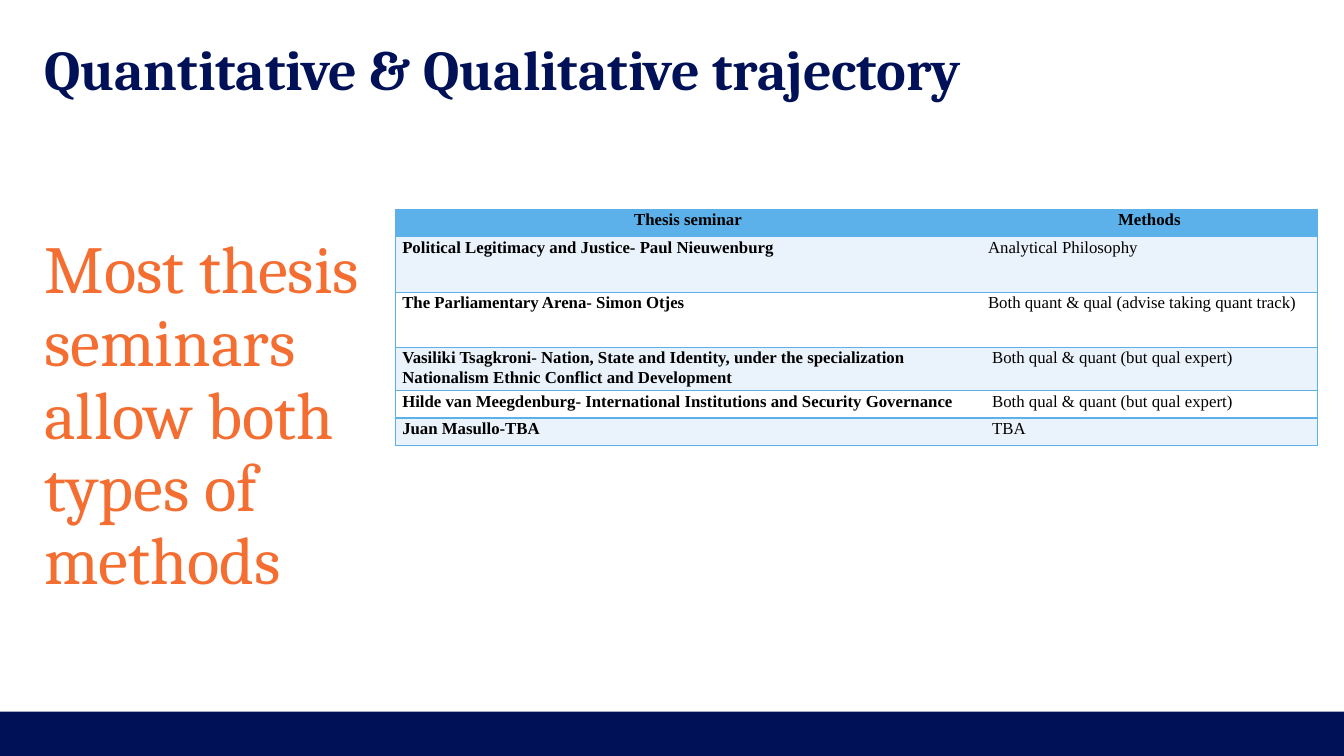
import pptx
import pptx.util
import pptx.dml.color
import pptx.enum.shapes
import pptx.enum.text
import pptx.oxml.ns
from dataclasses import dataclass
from lxml import etree

TITLE = "Quantitative & Qualitative trajectory"
CLAIM = "Most thesis seminars allow both types of methods"
HEADS = ("Thesis seminar", "Methods")
# seminar, methods, row height, extra indent of the methods cell
SEMINARS = [
    ("Political Legitimacy and Justice- Paul Nieuwenburg",
     "Analytical Philosophy", 0.55, 0),
    ("The Parliamentary Arena- Simon Otjes",
     "Both quant & qual (advise taking quant track)", 0.55, 0),
    ("Vasiliki Tsagkroni- Nation, State and Identity, under the specialization "
     "Nationalism Ethnic Conflict and Development",
     "Both qual & quant (but qual expert)", 0.27, 0.04),
    ("Hilde van Meegdenburg- International Institutions and Security Governance",
     "Both qual & quant (but qual expert)", 0.27, 0.04),
    ("Juan Masullo-TBA", "TBA", 0.27, 0.04),
]
WIDTH, HEIGHT = 13.33, 7.5
LEFT = 0.44
BAR = 0.44
COLS = (5.81, 3.34)
HEAD_ROW = 0.27
PAD = 0.07


@dataclass(frozen=True)
class Theme:
    navy: str = "001158"
    orange: str = "F46E32"
    blue: str = "5CB1EB"
    pale: str = "EAF2FB"
    white: str = "FFFFFF"
    black: str = "000000"
    serif: str = "Cambria"
    grid: str = "Times New Roman"
    title: int = 40
    claim: int = 48
    cell: int = 12


THEME = Theme()
Inches = pptx.util.Inches
Align = pptx.enum.text.PP_ALIGN
Anchor = pptx.enum.text.MSO_ANCHOR


def rgb(code):
    return pptx.dml.color.RGBColor.from_string(code)


def paint(shape, color):
    shape.fill.solid()
    shape.fill.fore_color.rgb = rgb(color)


def style(para, face, size, color, bold=False):
    font = para.font
    font.name, font.size, font.bold = face, pptx.util.Pt(size), bold
    font.color.rgb = rgb(color)


def add_text(slide, text, box, size, color, bold=False, top=0):
    shape = slide.shapes.add_textbox(*map(Inches, box))
    frame = shape.text_frame
    frame.word_wrap = True
    frame.margin_left = frame.margin_right = frame.margin_bottom = 0
    frame.margin_top = Inches(top)
    frame.text = text
    para = frame.paragraphs[0]
    style(para, THEME.serif, size, color, bold)
    return frame, para


def add_edges(cell, sides):
    """Draw the named sides of a cell (L, R, T, B) and hide the others."""
    props = cell._tc.get_or_add_tcPr()
    for place, side in enumerate("LRTB"):
        line = etree.Element(pptx.oxml.ns.qn(f"a:ln{side}"), w="12700")
        if side in sides:
            fill = etree.SubElement(line, pptx.oxml.ns.qn("a:solidFill"))
            etree.SubElement(fill, pptx.oxml.ns.qn("a:srgbClr"), val=THEME.blue)
        else:
            etree.SubElement(line, pptx.oxml.ns.qn("a:noFill"))
        props.insert(place, line)


def fill_cell(cell, text, color, col, head, indent):
    cell.text = text
    cell.margin_left, cell.margin_right = Inches(PAD + indent), Inches(PAD)
    cell.margin_top = cell.margin_bottom = 0
    para = cell.text_frame.paragraphs[0]
    para.alignment = Align.CENTER if head else Align.LEFT
    para.line_spacing = 1.07
    style(para, THEME.grid, THEME.cell, THEME.black, head or col == 0)
    paint(cell, color)
    add_edges(cell, ("LTB", "RTB")[col])


def add_grid(slide):
    rows = [(*HEADS, HEAD_ROW, 0), *SEMINARS]
    high = sum(row[2] for row in rows)
    table = slide.shapes.add_table(
        len(rows), len(COLS), Inches(3.92), Inches(2.08),
        Inches(sum(COLS)), Inches(high)).table
    table.horz_banding = False
    for col, wide in enumerate(COLS):
        table.columns[col].width = Inches(wide)
    for num, (*texts, tall, indent) in enumerate(rows):
        table.rows[num].height = Inches(tall)
        band = THEME.pale if num % 2 else THEME.white
        for col, text in enumerate(texts):
            fill_cell(table.cell(num, col), text, band if num else THEME.blue,
                      col, num == 0, indent * col)


def main():
    deck = pptx.Presentation()
    deck.slide_width, deck.slide_height = Inches(WIDTH), Inches(HEIGHT)
    slide = deck.slides.add_slide(deck.slide_layouts[6])

    bar = slide.shapes.add_shape(
        pptx.enum.shapes.MSO_SHAPE.RECTANGLE, 0, Inches(HEIGHT - BAR),
        Inches(WIDTH), Inches(BAR))
    bar.shadow.inherit = False
    paint(bar, THEME.navy)
    bar.line.fill.background()

    frame, _ = add_text(slide, TITLE, (LEFT, 0.44, WIDTH - 2 * LEFT, 0.47),
                        THEME.title, THEME.navy, bold=True)
    frame.vertical_anchor = Anchor.MIDDLE
    _, para = add_text(slide, CLAIM, (LEFT, 1.37, 3.86, 5.24),
                       THEME.claim, THEME.orange, top=0.97)
    para.line_spacing = 0.9

    add_grid(slide)
    deck.save("out.pptx")


if __name__ == "__main__":
    main()
